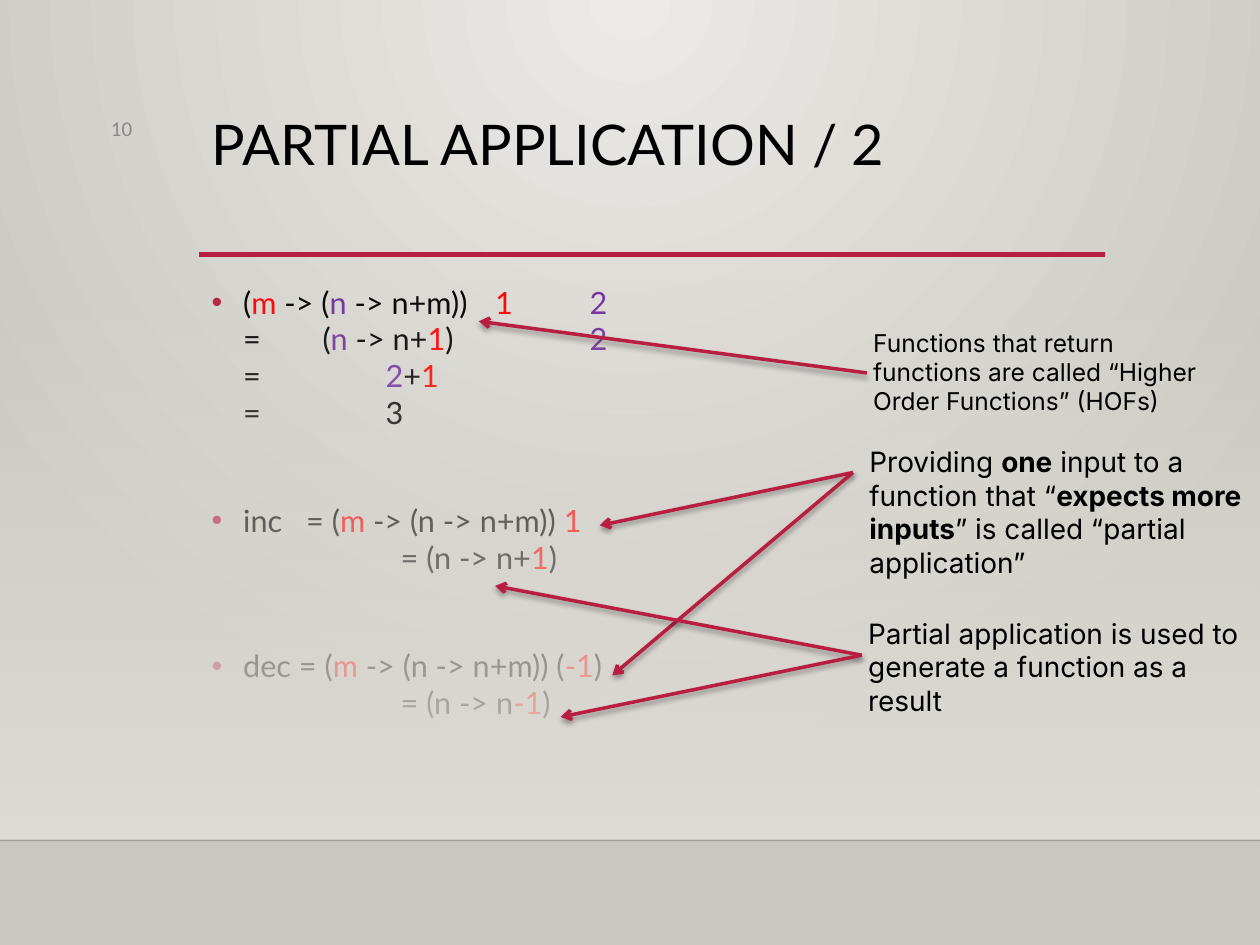
"""Build the slide on partial application, with its worked examples and callouts."""
from dataclasses import dataclass
from typing import NamedTuple

import lxml.etree
import pptx
import pptx.dml.color
import pptx.enum.shapes
import pptx.enum.text
import pptx.oxml
import pptx.oxml.ns
import pptx.util

COLUMNS, ROWS = 100, 75
qn = pptx.oxml.ns.qn
RGB = pptx.dml.color.RGBColor.from_string
Pt = pptx.util.Pt


@dataclass(frozen=True)
class Theme:
    """Colours, fonts and type sizes."""
    ink: str = "000000"
    accent: str = "B71E42"
    bound: str = "FF0000"
    free: str = "7030A0"
    muted: str = "888888"
    edge: str = "000001"
    glow: str = "ECEAE7"
    wall: str = "CAC7C1"
    floor: str = "DFDBD5"
    main_font: str = "Lato"
    note_font: str = "Inter"
    number_font: str = "Calibri"
    title: float = 32
    body: float = 17.5
    note: float = 16
    small: float = 14
    number: float = 12


class Box(NamedTuple):
    """Left, top, width and height in grid units."""
    left: float
    top: float
    width: float
    height: float


class Example(NamedTuple):
    """A bullet of code lines; each line is a list of (text, colour) pairs."""
    before: float
    tabs: tuple
    lines: list


class Callout(NamedTuple):
    """A note, its bold phrases marked by *, and arrows from one start."""
    text: str
    size: float
    box: Box
    start: tuple
    targets: list


T = Theme()
K, B, F = T.ink, T.bound, T.free

EXAMPLES = [
    Example(0, (0.88, 1.38, 2.25, 3), [
        [("(", K), ("m", B), (" -> (", K), ("n", F), (" -> n+m))\t", K), ("1\t", B), ("2", F)],
        [("=\t(", K), ("n", F), (" -> n+", K), ("1", B), (")\t\t", K), ("2", F)],
        [("=\t\t", K), ("2", F), ("+", K), ("1", B)],
        [("=\t\t3", K)]]),
    Example(41, (0.75, 1.5), [
        [("inc\t= (", K), ("m", B), (" -> (n -> n+m)) ", K), ("1", B)],
        [("\t\t= (n -> n+", K), ("1", B), (")", K)]]),
    Example(41, (0.75, 1.5), [
        [("dec = (", K), ("m", B), (" -> (n -> n+m)) (", K), ("-1", B), (")", K)],
        [("\t\t= (n -> n", K), ("-1", B), (")", K)]]),
]

CALLOUTS = [
    Callout("Functions that return functions are called “Higher Order Functions” (HOFs)",
            T.small, Box(68.8, 25.5, 27.4, 8.1), (68.8, 29.6), [(38, 25.5)]),
    Callout("Providing *one* input to a function that “*expects more inputs*” "
            "is called “partial application”",
            T.note, Box(68.5, 34.8, 31.2, 11.8), (67.7, 37.5), [(47.6, 41.7), (48.6, 53.6)]),
    Callout("Partial application is used to generate a function as a result",
            T.note, Box(68.4, 48.4, 30.8, 7.2), (68.4, 52), [(39.3, 46.5), (44.5, 56.9)]),
]

prs = pptx.Presentation()
prs.slide_width, prs.slide_height = pptx.util.Inches(10), pptx.util.Inches(7.5)


def x(columns: float) -> int:
    """Turn grid columns into a length."""
    return round(prs.slide_width * columns / COLUMNS)


def y(rows: float) -> int:
    """Turn grid rows into a length."""
    return round(prs.slide_height * rows / ROWS)


def place(sp, box: Box) -> None:
    """Move a shape to its grid box."""
    sp.left, sp.top, sp.width, sp.height = x(box.left), y(box.top), x(box.width), y(box.height)


def style(r, font: str, size: float, color: str, bold: bool = False) -> None:
    """Format a run."""
    r.font.name, r.font.size, r.font.bold = font, Pt(size), bold
    r.font.color.rgb = RGB(color)


def child(parent, tag: str, **attributes):
    """Append a DrawingML element."""
    return lxml.etree.SubElement(parent, qn(tag), {k: str(v) for k, v in attributes.items()})


def gradient(fill, first: str, last: str) -> None:
    """Give a fill a gradient of two colours."""
    fill.gradient()
    for stop, position, color in zip(fill.gradient_stops, (0, 1), (first, last)):
        stop.position, stop.color.rgb = position, RGB(color)


def draw_line(s, start: tuple, end: tuple, color: str, width: float, arrow: bool = False):
    """Draw a line, or an arrow with a soft shadow."""
    c = s.shapes.add_connector(pptx.enum.shapes.MSO_CONNECTOR.STRAIGHT,
                               x(start[0]), y(start[1]), x(end[0]), y(end[1]))
    c.line.color.rgb, c.line.width = RGB(color), Pt(width)
    if arrow:
        child(c.line._get_or_add_ln(), "a:tailEnd", type="arrow")
    effects = child(c._element.spPr, "a:effectLst")
    if arrow:
        shadow = child(effects, "a:outerShdw", blurRad=Pt(3), dist=Pt(1.8), dir=5400000)
        child(child(shadow, "a:srgbClr", val=T.ink), "a:alpha", val=35000)
    return c


def draw_backdrop(s) -> None:
    """Draw the glowing wall, the fading panel and the two rules."""
    gradient(s.background.fill, T.glow, T.wall)
    wall = s._element.find(".//" + qn("a:gradFill"))
    wall.remove(wall.find(qn("a:lin")))
    child(child(wall, "a:path", path="circle"), "a:fillToRect", l=43000, t=0, r=43000, b=100000)
    panel = s.shapes.add_shape(pptx.enum.shapes.MSO_SHAPE.RECTANGLE, 0, 0, 1, 1)
    place(panel, Box(0, 22, COLUMNS, 44.6))
    panel.shadow.inherit = False
    panel.line.fill.background()
    gradient(panel.fill, T.floor, T.floor)
    panel.fill.gradient_angle = 270
    child(panel._element.spPr.find(".//" + qn("a:srgbClr")), "a:alpha", val=0)
    edge = draw_line(s, (0, 66.7), (COLUMNS, 66.7), T.edge, 1)
    child(edge._element.spPr.find(".//" + qn("a:srgbClr")), "a:alpha", val=20000)
    draw_line(s, (15.8, 20.2), (87.7, 20.2), T.accent, 2.5)


def fill_placeholder(sp, box: Box):
    """Place a placeholder, anchor it at the top and return its text frame."""
    place(sp, box)
    tf = sp.text_frame
    tf.auto_size = pptx.enum.text.MSO_AUTO_SIZE.NONE
    tf.vertical_anchor = pptx.enum.text.MSO_ANCHOR.TOP
    return tf


def write_example(p, example: Example) -> None:
    """Write a bulleted code example with its tab stops."""
    p.space_before = Pt(example.before)
    pPr = p._p.get_or_add_pPr()
    pPr.set("marL", str(x(2.5)))
    pPr.set("indent", str(-x(2.5)))
    child(child(pPr, "a:buClr"), "a:srgbClr", val=T.accent)
    child(pPr, "a:buFont", typeface="Arial")
    child(pPr, "a:buChar", char="•")
    tabs = child(pPr, "a:tabLst")
    for stop in example.tabs:
        child(tabs, "a:tab", pos=pptx.util.Inches(stop), algn="l")
    for i, line in enumerate(example.lines):
        if i:
            p.add_line_break()
        for text, color in line:
            r = p.add_run()
            r.text = text
            style(r, T.main_font, T.body, color)
    for br in p._p.findall(qn("a:br")):
        child(br, "a:rPr", sz=round(T.body * 100))


def draw_callout(s, callout: Callout) -> None:
    """Draw a note and its arrows."""
    sp = s.shapes.add_textbox(0, 0, 1, 1)
    place(sp, callout.box)
    tf = sp.text_frame
    tf.word_wrap = True
    tf.margin_left = tf.margin_right = tf.margin_top = tf.margin_bottom = x(0.5)
    for i, text in enumerate(callout.text.split("*")):
        r = tf.paragraphs[0].add_run()
        r.text = text
        style(r, T.note_font, callout.size, T.ink, bold=i % 2 == 1)
    for target in callout.targets:
        draw_line(s, callout.start, target, T.accent, 2, arrow=True)


s = prs.slides.add_slide(prs.slide_layouts[1])
draw_backdrop(s)

tf = fill_placeholder(s.shapes.title, Box(15.8, 8.8, 71.9, 11.5))
tf.text = "PARTIAL APPLICATION / 2"
p = tf.paragraphs[0]
p.alignment, p.line_spacing = pptx.enum.text.PP_ALIGN.LEFT, 0.9
style(p.runs[0], T.main_font, T.title, T.ink)

tf = fill_placeholder(s.placeholders[1], Box(15.8, 22, 71.9, 37.7))
for i, example in enumerate(EXAMPLES):
    write_example(tf.add_paragraph() if i else tf.paragraphs[0], example)

number = s.shapes.add_textbox(0, 0, 1, 1)
place(number, Box(5.3, 8.7, 8.7, 5.5))
number.text_frame.text = "10"
p = number.text_frame.paragraphs[0]
p.alignment = pptx.enum.text.PP_ALIGN.CENTER
style(p.runs[0], T.number_font, T.number, T.muted)

for callout in CALLOUTS:
    draw_callout(s, callout)

prs.save("out.pptx")
